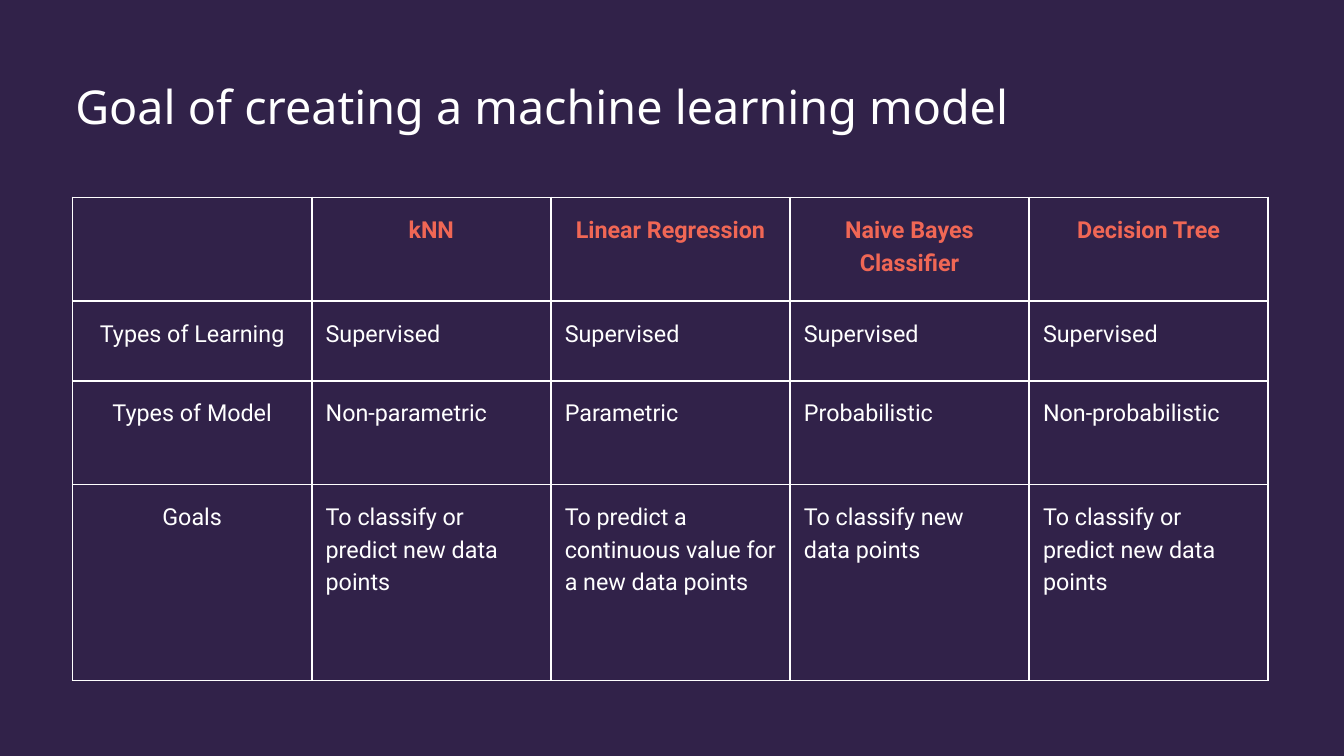
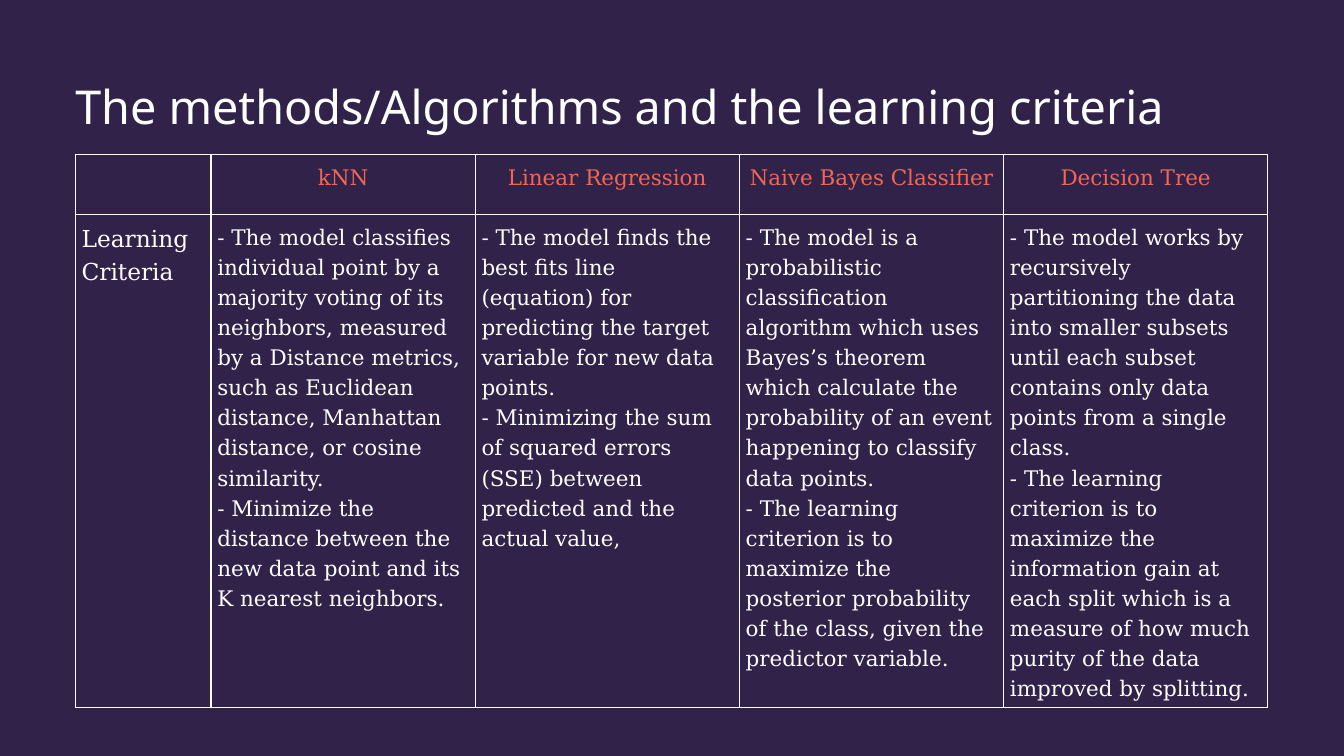
from lxml.etree import SubElement
from pptx import Presentation
from pptx.dml.color import RGBColor
from pptx.enum.text import MSO_ANCHOR as Anchor, PP_ALIGN as Align
from pptx.oxml.ns import qn
from pptx.util import Pt

COLORS = {"night": "312249", "white": "FFFFFF", "coral": "F06755"}
TITLE_BOX = {"left": Pt(80.64), "top": Pt(73), "width": Pt(1313), "height": Pt(67)}
TITLE_FRAME = {
    "margin_left": 0, "margin_right": 0, "margin_top": 0, "margin_bottom": 0,
    "word_wrap": True, "vertical_anchor": Anchor.TOP,
}
PLAIN_TABLE = {"first_row": False, "horz_banding": False}
MARGINS = ("margin_left", "margin_right", "margin_top", "margin_bottom")
BORDERS = ("a:lnL", "a:lnR", "a:lnT", "a:lnB")
LINE_RATIO = 1.4

METHODS = ["kNN", "Linear Regression", "Naive Bayes Classifier", "Decision Tree"]

SLIDES = [
    {
        "title": "Goal of creating a machine learning model",
        "left": 77.76, "top": 211.68,
        "columns": [256.2] * 5, "rows": [111, 85.5, 111, 210],
        "font": "Roboto", "size": 25, "label_align": Align.CENTER,
        "header_bold": True, "margin": 15, "border": 2.25,
        "body": [
            ["Types of Learning"] + ["Supervised"] * 4,
            ["Types of Model", "Non-parametric", "Parametric", "Probabilistic", "Non-probabilistic"],
            [
                "Goals",
                "To classify or predict new data points",
                "To predict a continuous value for a new data points",
                "To classify new data points",
                "To classify or predict new data points",
            ],
        ],
    },
    {
        "title": "The methods/Algorithms and the learning criteria",
        "left": 80.64, "top": 165.6,
        "columns": [145.44] + [283.1] * 4, "rows": [64, 528.5],
        "font": "DejaVu Serif", "size": 23, "label_align": Align.LEFT,
        "header_bold": False, "margin": 6.75, "border": 1.5,
        "body": [
            [
                "Learning Criteria",
                "- The model classifies individual point by a majority voting of its neighbors, "
                "measured by a Distance metrics, such as Euclidean distance, Manhattan distance, "
                "or cosine similarity.\n"
                "- Minimize the distance between the new data point and its K nearest neighbors.",
                "- The model finds the best fits line (equation) for predicting the target "
                "variable for new data points.\n"
                "- Minimizing the sum of squared errors (SSE) between predicted and the actual value,",
                "- The model is a probabilistic classification algorithm which uses Bayes’s theorem "
                "which calculate the probability of an event happening to classify data points.\n"
                "- The learning criterion is to maximize the posterior probability of the class, "
                "given the predictor variable.",
                "- The model works by recursively partitioning the data into smaller subsets until "
                "each subset contains only data points from a single class.\n"
                "- The learning criterion is to maximize the information gain at each split which "
                "is a measure of how much purity of the data improved by splitting.",
            ],
        ],
    },
]
LABEL_SIZE = 25


def write_text(frame, text, font, size, color, align, bold=False):
    frame.text = text
    for para in frame.paragraphs:
        para.alignment = align
        para.line_spacing = Pt(round(size * LINE_RATIO, 1))
        for span in para.runs:
            for name, value in {"name": font, "size": Pt(size), "bold": bold}.items():
                setattr(span.font, name, value)
            span.font.color.rgb = RGBColor.from_string(COLORS[color])


def draw_borders(cell, width):
    properties = cell._tc.get_or_add_tcPr()
    for index, tag in enumerate(BORDERS):
        line = SubElement(properties, qn(tag), w=str(Pt(width)))
        fill = SubElement(line, qn("a:solidFill"))
        SubElement(fill, qn("a:srgbClr"), val=COLORS["white"])
        properties.insert(index, line)


deck = Presentation()
deck.slide_width, deck.slide_height = Pt(1440), Pt(810)
title_only = deck.slide_layouts[5]

for content in SLIDES:
    page = deck.slides.add_slide(title_only)
    page.background.fill.solid()
    page.background.fill.fore_color.rgb = RGBColor.from_string(COLORS["night"])

    title = page.shapes.title
    for name, value in TITLE_BOX.items():
        setattr(title, name, value)
    for name, value in TITLE_FRAME.items():
        setattr(title.text_frame, name, value)
    write_text(title.text_frame, content["title"], "Noto Sans", 50, "white", Align.LEFT)

    columns, rows = content["columns"], content["rows"]
    table = page.shapes.add_table(
        len(rows), len(columns), Pt(content["left"]), Pt(content["top"]),
        Pt(sum(columns)), Pt(sum(rows)),
    ).table
    for name, value in PLAIN_TABLE.items():
        setattr(table, name, value)
    for column, width in zip(table.columns, columns):
        column.width = Pt(width)
    for row, height in zip(table.rows, rows):
        row.height = Pt(height)

    for row_index, texts in enumerate([[""] + METHODS] + content["body"]):
        for column_index, text in enumerate(texts):
            cell = table.cell(row_index, column_index)
            for name in MARGINS:
                setattr(cell, name, Pt(content["margin"]))
            cell.fill.background()
            draw_borders(cell, content["border"])
            size, color, align, bold = content["size"], "white", Align.LEFT, False
            if row_index == 0:
                color, align, bold = "coral", Align.CENTER, content["header_bold"]
            elif column_index == 0:
                size, align = LABEL_SIZE, content["label_align"]
            if text:
                write_text(cell.text_frame, text, content["font"], size, color, align, bold)

deck.save("out.pptx")
